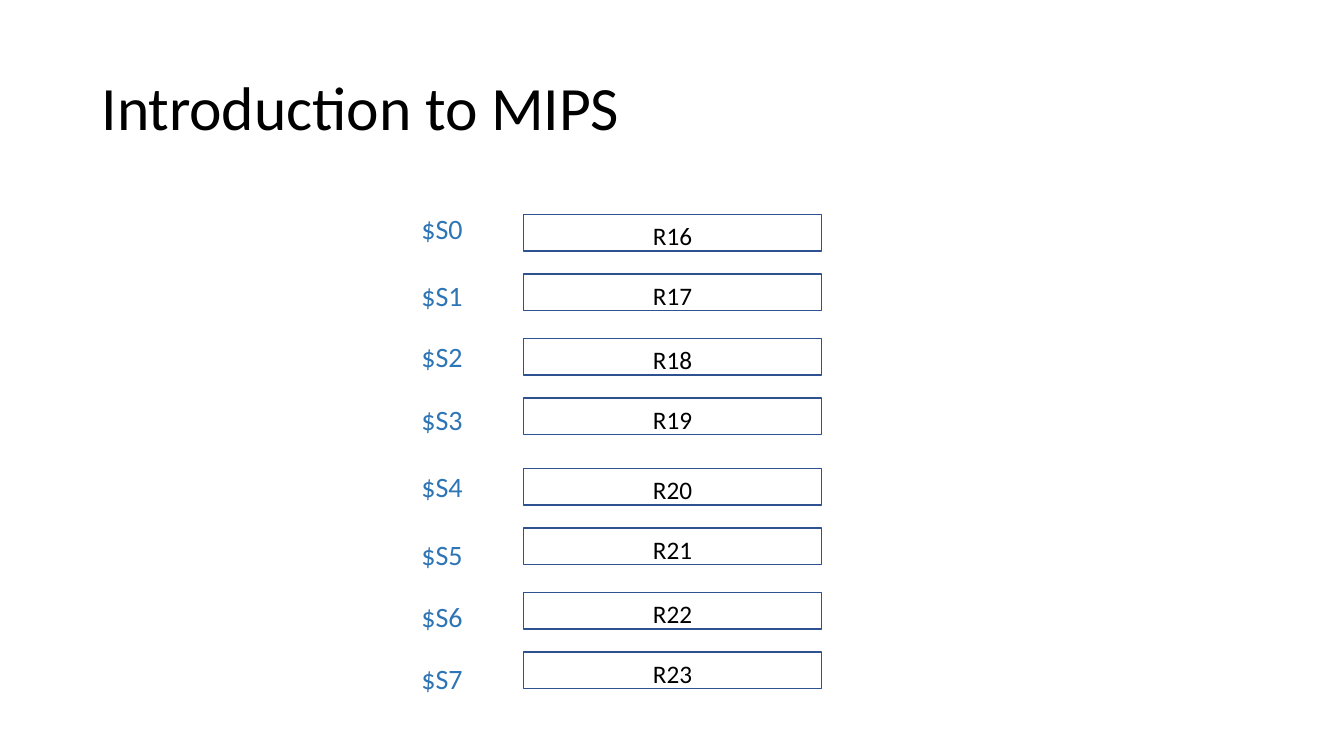
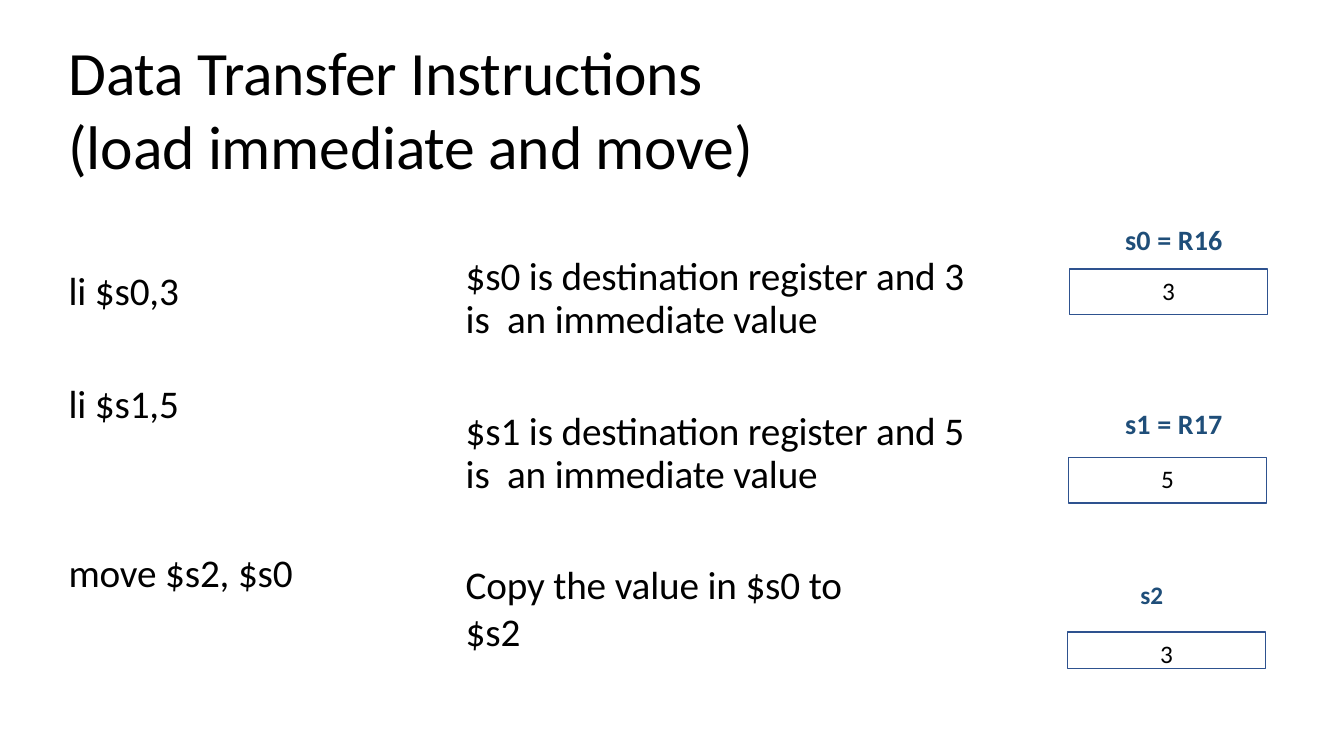
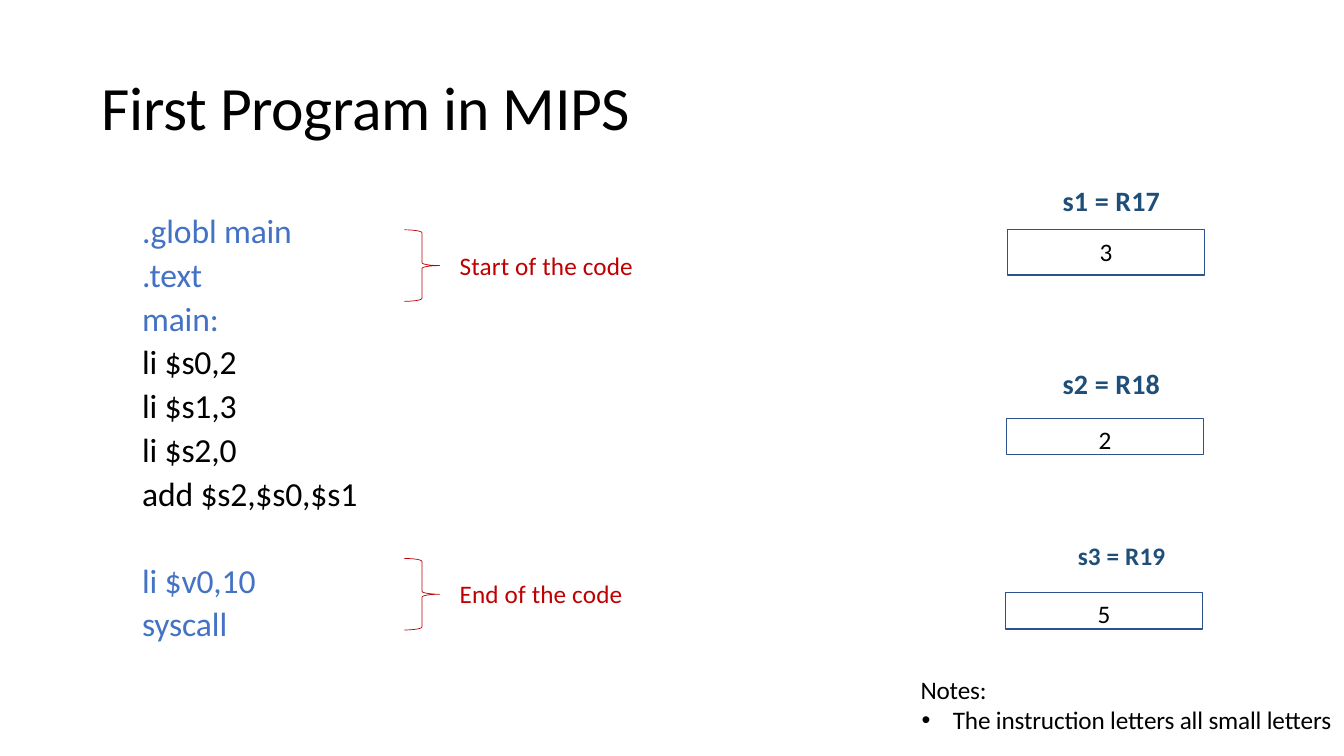
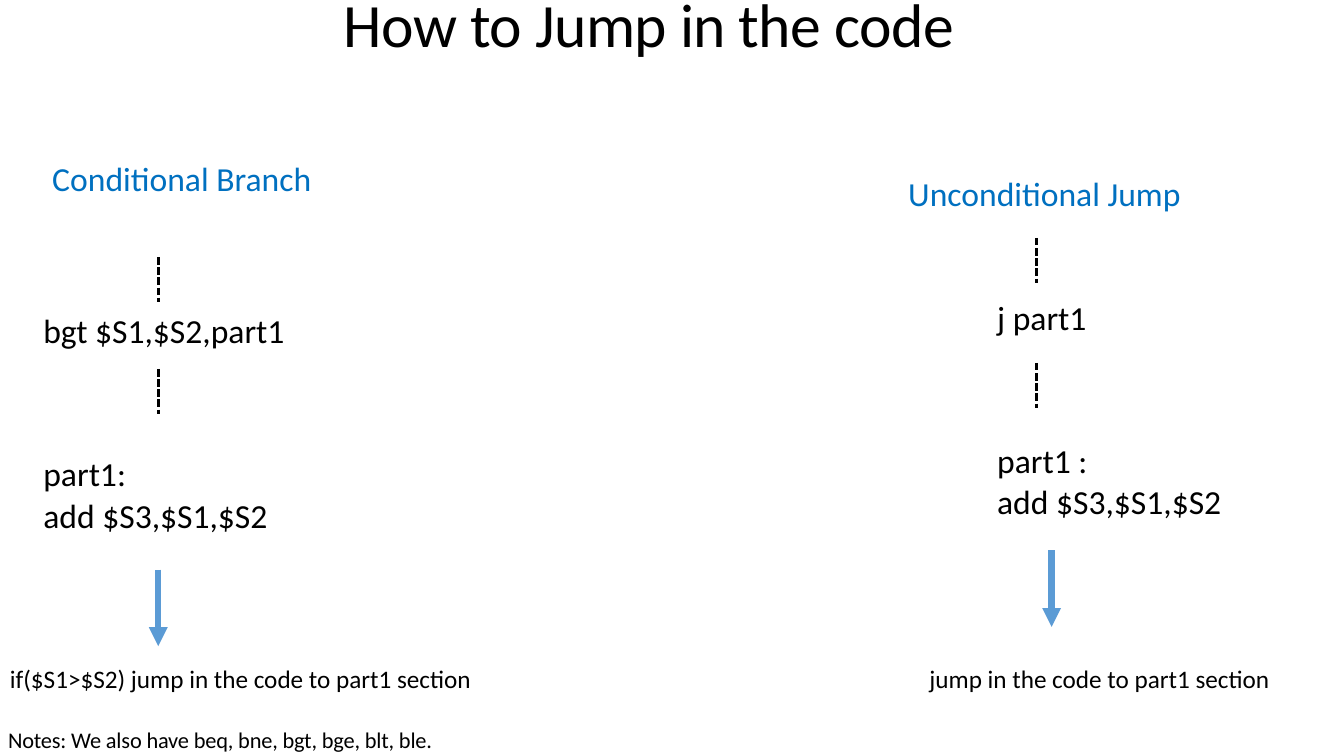
from dataclasses import dataclass

from lxml.etree import SubElement
from pptx import Presentation
from pptx.dml.color import RGBColor as Color
from pptx.enum.dml import MSO_LINE_DASH_STYLE as Dash
from pptx.enum.shapes import MSO_CONNECTOR as Link, MSO_SHAPE as Shape
from pptx.enum.text import MSO_ANCHOR as Anchor, MSO_AUTO_SIZE as Fit, PP_ALIGN as Align
from pptx.oxml.ns import qn
from pptx.util import Inches, Pt


@dataclass(frozen=True)
class Theme:
    """Colours, font and type sizes shared by the slides."""
    font: str = "Calibri"
    ink: str = "000000"
    frame: str = "2E528F"
    alias: str = "2E75B6"
    label: str = "1F4E79"
    code: str = "4472C4"
    head: str = "0070C0"
    alert: str = "C00000"
    arrow: str = "5B9BD5"
    title: int = 44
    large: int = 28
    mid: int = 24
    name: int = 20
    body: int = 18
    note: int = 16


T = Theme()
SNUG = (0.01, 0.01)
ROOMY = (0.1, 0.05)


def rgb(code):
    """Turn a hex code into a colour."""
    return Color.from_string(code)


def place(shape, box):
    """Move and size a shape in inches."""
    shape.left, shape.top, shape.width, shape.height = map(Inches, box)


def write(shape, lines, size=T.body, color=T.ink, bold=False, align=Align.LEFT,
          anchor=Anchor.TOP, pad=SNUG, lead=1.0, gap=0, track=0):
    """Fill a shape with formatted paragraphs, where a line may be (text, colour)."""
    frame = shape.text_frame
    frame.word_wrap, frame.auto_size, frame.vertical_anchor = True, Fit.NONE, anchor
    frame.margin_left = frame.margin_right = Inches(pad[0])
    frame.margin_top, frame.margin_bottom = Inches(pad[1]), 0
    for i, line in enumerate([lines] if isinstance(lines, str) else lines):
        words, tint = (line, color) if isinstance(line, str) else line
        para = frame.add_paragraph() if i else frame.paragraphs[0]
        para.alignment, para.line_spacing = align, lead
        para.space_before, para.space_after = Pt(gap if i else 0), Pt(0)
        run = para.add_run()
        run.text = words
        font = run.font
        font.name, font.size, font.bold = T.font, Pt(size), bold
        font.color.rgb = rgb(tint)
        if track:
            run._r.get_or_add_rPr().set("spc", str(round(track * 100)))
    return frame


def text(slide, box, lines, **style):
    """Add a text box."""
    return write(slide.shapes.add_textbox(*map(Inches, box)), lines, **style)


def figure(slide, kind, box, color, width):
    """Add an outlined preset shape."""
    shape = slide.shapes.add_shape(kind, *map(Inches, box))
    shape.shadow.inherit = False
    shape.fill.background()
    shape.line.color.rgb = rgb(color)
    shape.line.width = Pt(width)
    return shape


def cell(slide, box, value):
    """Add a framed register cell."""
    shape = figure(slide, Shape.RECTANGLE, box, T.frame, 0.96)
    write(shape, value, align=Align.CENTER, pad=(0, 0.06))


def dash(slide, x, y):
    """Add a short dashed stroke for skipped code."""
    pen = slide.shapes.build_freeform(Inches(x + 0.29), Inches(y))
    pen.move_to(Inches(x), Inches(y))
    pen.add_line_segments([(Inches(x), Inches(y + 0.45))], close=False)
    stroke = pen.convert_to_shape()
    stroke.shadow.inherit = False
    stroke.fill.background()
    stroke.line.color.rgb = rgb(T.ink)
    stroke.line.width = Pt(1.8)
    stroke.line.dash_style = Dash.SQUARE_DOT


def arrow(slide, x, y):
    """Add a thick arrow pointing down."""
    link = slide.shapes.add_connector(
        Link.STRAIGHT, Inches(x), Inches(y), Inches(x), Inches(y + 0.76))
    SubElement(link._element.spPr, qn("a:effectLst"))
    link.line.color.rgb = rgb(T.arrow)
    link.line.width = Pt(4.5)
    SubElement(link.line._get_or_add_ln(), qn("a:tailEnd"), type="triangle")


def page(deck, box, title, track):
    """Add a title-only slide."""
    slide = deck.slides.add_slide(deck.slide_layouts[5])
    place(slide.shapes.title, box)
    write(slide.shapes.title, title, size=T.title, anchor=Anchor.MIDDLE, track=track)
    return slide


def bank(slide, x, y, rows):
    """Draw a column of labelled registers from a corner."""
    slots = ((0.56, 0, 0.02, 0.47, T.name), (0.56, 1.82, 0.01, 2.34, T.name),
             (0.71, 3.54, 0, 4.07, T.body))
    for (dx, dy, cx, cy, size), (label, value, high) in zip(slots, rows):
        text(slide, (x + dx, y + dy, 1.23, 0.35), label, size=size,
             color=T.label, bold=True, track=0.1)
        cell(slide, (x + cx, y + cy, 1.96, high), value)


def brace(slide, x, y, label):
    """Draw a brace with its remark."""
    figure(slide, Shape.RIGHT_BRACE, (x, y, 0.35, 0.71), T.alert, 0.5)
    text(slide, (x + 0.54, y + 0.19, 2.7, 0.32), label, color=T.alert, track=0.1)


def branch(slide, head, code, stem, tip, foot):
    """Draw one jump: heading, code between dashes, arrow and meaning."""
    x, y, title = head
    text(slide, (x, y, 4.4, 0.5), title, size=T.mid, color=T.head, pad=ROOMY)
    x, *steps = code
    for y, lines in steps:
        text(slide, (x, y, 3.45, 0.42 * len(lines)), lines, size=T.mid, gap=1.1)
    x, *tops = stem
    for y in tops:
        dash(slide, x, y)
    arrow(slide, *tip)
    x, wide, words = foot
    text(slide, (x, 6.53, wide, 0.4), words, pad=ROOMY)


def names(deck):
    """Build the slide of register names."""
    slide = page(deck, (1, 0.67, 5.5, 0.76), "Introduction to MIPS", -0.1)
    tops = (2.13, 2.72, 3.36, 3.95, 4.65, 5.24, 5.88, 6.47)
    marks = (2.09, 2.75, 3.36, 3.98, 4.65, 5.32, 5.94, 6.55)
    for i, (top, mark) in enumerate(zip(tops, marks)):
        cell(slide, (5.19, top, 2.96, 0.36), f"R{16 + i}")
        text(slide, (4.17, mark, 0.54, 0.35), f"$S{i}", size=T.name, color=T.alias)


def moves(deck):
    """Build the slide of data transfer instructions."""
    slide = page(deck, (0.67, 0.32, 7.26, 1.49),
                 "Data Transfer Instructions (load immediate and move)", -0.2)
    for y, line in ((2.63, "li $s0,3"), (3.75, "li $s1,5"), (5.43, "move $s2, $s0")):
        text(slide, (0.67, y, 2.71, 0.5), line, size=T.large, track=-0.1)
    for y, reg, value in ((2.47, 0, 3), (4.01, 1, 5)):
        text(slide, (4.61, y, 5.23, 0.92),
             f"$s{reg} is destination register and {value} is  an immediate value",
             size=T.large, pad=(0.01, 0.07), lead=Pt(30.3), track=-0.1)
    text(slide, (4.61, 5.55, 4.16, 0.96), "Copy the value in $s0 to $s2",
         size=T.large, track=-0.1)
    bank(slide, 10.59, 2.2, (("s0 = R16", "3", 0.45), ("s1 = R17", "5", 0.45),
                             ("s2", "3", 0.36)))


def first(deck):
    """Build the slide of the first program."""
    slide = page(deck, (1, 0.67, 5.66, 0.75), "First Program in MIPS", -0.3)
    lines = [(".globl main", T.code), (".text", T.code), ("main:", T.code),
             "li $s0,2", "li $s1,3", "li $s2,0", "add $s2,$s0,$s1",
             ("li $v0,10", T.code), ("syscall", T.code)]
    frame = text(slide, (1.4, 2.04, 3.86, 4.42), lines, size=T.mid, lead=1.07,
                 gap=0.6, track=-0.1)
    frame.paragraphs[7].space_before = Pt(31)
    frame.paragraphs[8].space_before = Pt(0)
    brace(slide, 4.01, 2.28, "Start of the code")
    brace(slide, 4.01, 5.54, "End of the code")
    bank(slide, 9.97, 1.81, (("s1 = R17", "3", 0.45), ("s2 = R18", "2", 0.36),
                             ("s3 = R19", "5", 0.36)))
    notes = text(slide, (9.12, 6.68, 4.21, 0.82),
                 ["Notes:", "The instruction letters all small letters"], track=-0.1)
    props = notes.paragraphs[1]._p.get_or_add_pPr()
    props.set("marL", str(Inches(0.32)))
    props.set("indent", str(-Inches(0.31)))
    SubElement(props, qn("a:buFont"), typeface="Arial")
    SubElement(props, qn("a:buChar"), char="•")


def jumps(deck):
    """Build the slide of branches and jumps."""
    slide = page(deck, (3.4, -0.15, 6.19, 0.75), "How to Jump in the code", -0.4)
    branch(slide, head=(0.42, 1.52, "Conditional Branch"),
           code=(0.42, (3.06, ["bgt $S1,$S2,part1"]),
                 (4.48, ["part1:", "add $S3,$S1,$S2"])),
           stem=(1.57, 2.55, 3.66), tip=(1.57, 5.65),
           foot=(0, 5.47, "if($S1>$S2) jump in the code to part1 section"))
    branch(slide, head=(8.91, 1.67, "Unconditional Jump"),
           code=(9.88, (2.94, ["j part1"]), (4.35, ["part1 :", "add $S3,$S1,$S2"])),
           stem=(10.28, 2.36, 3.6), tip=(10.43, 5.46),
           foot=(9.12, 4.21, "jump in the code to part1 section"))
    text(slide, (0.07, 7.19, 9.2, 0.28),
         "Notes: We also have beq, bne, bgt, bge, blt, ble.", size=T.note, track=-0.1)


def main():
    """Build and save the deck."""
    deck = Presentation()
    deck.slide_width, deck.slide_height = Inches(13.33), Inches(7.5)
    for build in (names, moves, first, jumps):
        build(deck)
    deck.save("out.pptx")


main()
